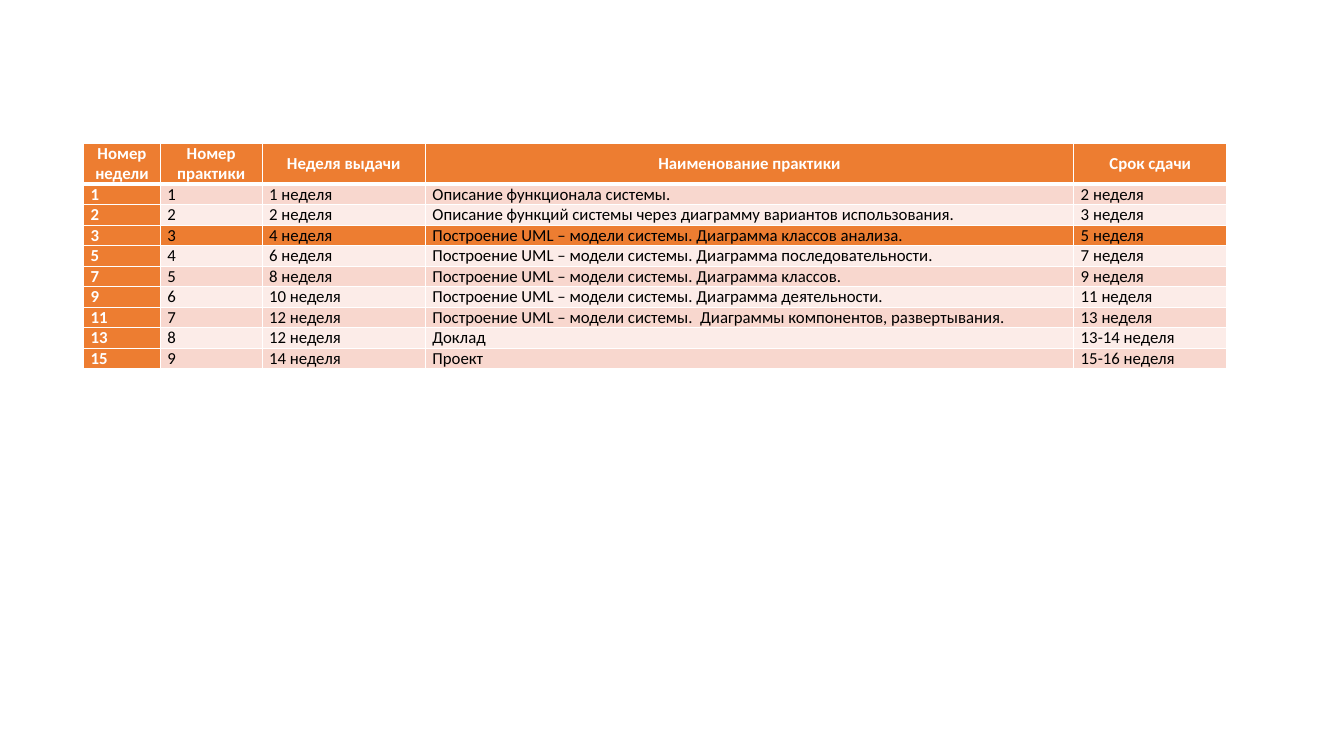
from lxml.etree import SubElement
from pptx import Presentation
from pptx.dml.color import RGBColor
from pptx.enum.text import MSO_ANCHOR, PP_ALIGN
from pptx.oxml.ns import qn
from pptx.util import Inches, Pt

COLORS = {
    "accent": "ED7D31",
    "band_dark": "F8D7CE",
    "band_light": "FCECE8",
    "border": "FFFFFF",
    "heading": "FFFFFF",
    "body": "000000",
}
COLUMN_WIDTHS = [0.76, 1.01, 1.62, 6.43, 1.52]
HEADER_HEIGHT, ROW_HEIGHT = 0.4, 0.2
LEFT, TOP = 0.83, 1.42
CURRENT_PRACTICE = 3

HEADINGS = ["Номер недели", "Номер практики", "Неделя выдачи",
            "Наименование практики", "Срок сдачи"]
PRACTICES = [
    ("1", "1", "1 неделя", "Описание функционала системы.", "2 неделя"),
    ("2", "2", "2 неделя", "Описание функций системы через диаграмму вариантов использования.", "3 неделя"),
    ("3", "3", "4 неделя", "Построение UML – модели системы. Диаграмма классов анализа.", "5 неделя"),
    ("5", "4", "6 неделя", "Построение UML – модели системы. Диаграмма последовательности.", "7 неделя"),
    ("7", "5", "8 неделя", "Построение UML – модели системы. Диаграмма классов.", "9 неделя"),
    ("9", "6", "10 неделя", "Построение UML – модели системы. Диаграмма деятельности.", "11 неделя"),
    ("11", "7", "12 неделя", "Построение UML – модели системы.  Диаграммы компонентов, развертывания.", "13 неделя"),
    ("13", "8", "12 неделя", "Доклад", "13-14 неделя"),
    ("15", "9", "14 неделя", "Проект", "15-16 неделя"),
]


def set_borders(cell, top, bottom):
    properties = cell._tc.get_or_add_tcPr()
    for side, width in (("L", 1), ("R", 1), ("T", top), ("B", bottom)):
        border = SubElement(properties, qn(f"a:ln{side}"), w=str(Pt(width)))
        fill = SubElement(border, qn("a:solidFill"))
        SubElement(fill, qn("a:srgbClr"), val=COLORS["border"])


def row_color(row):
    if row in (0, CURRENT_PRACTICE):
        return "accent"
    return "band_dark" if row % 2 else "band_light"


def fill_cell(cell, text, row, column):
    is_header = row == 0
    is_heading = is_header or column == 0
    set_borders(cell, 3 if row == 1 else 1, 3 if is_header else 1)
    cell.fill.solid()
    cell.fill.fore_color.rgb = RGBColor.from_string(
        COLORS["accent" if is_heading else row_color(row)])
    cell.margin_left = cell.margin_right = Inches(0.07)
    cell.margin_top = cell.margin_bottom = 0
    cell.vertical_anchor = MSO_ANCHOR.MIDDLE if is_header else MSO_ANCHOR.TOP
    paragraph = cell.text_frame.paragraphs[0]
    paragraph.text = text
    paragraph.alignment = PP_ALIGN.CENTER if is_header else PP_ALIGN.JUSTIFY
    font = paragraph.runs[0].font
    font.name, font.size, font.bold = "Calibri", Pt(12), is_heading
    font.color.rgb = RGBColor.from_string(COLORS["heading" if is_heading else "body"])


def add_schedule(slide):
    rows = [HEADINGS, *PRACTICES]
    heights = [HEADER_HEIGHT] + [ROW_HEIGHT] * len(PRACTICES)
    schedule = slide.shapes.add_table(
        len(rows), len(HEADINGS), Inches(LEFT), Inches(TOP),
        Inches(sum(COLUMN_WIDTHS)), Inches(sum(heights))).table
    for column, width in zip(schedule.columns, COLUMN_WIDTHS):
        column.width = Inches(width)
    for row, (texts, height) in enumerate(zip(rows, heights)):
        schedule.rows[row].height = Inches(height)
        for column, text in enumerate(texts):
            fill_cell(schedule.cell(row, column), text, row, column)


def main():
    presentation = Presentation()
    presentation.slide_width, presentation.slide_height = Inches(13.33), Inches(7.5)
    slide = presentation.slides.add_slide(presentation.slide_layouts[6])
    add_schedule(slide)
    presentation.save("out.pptx")


if __name__ == "__main__":
    main()
